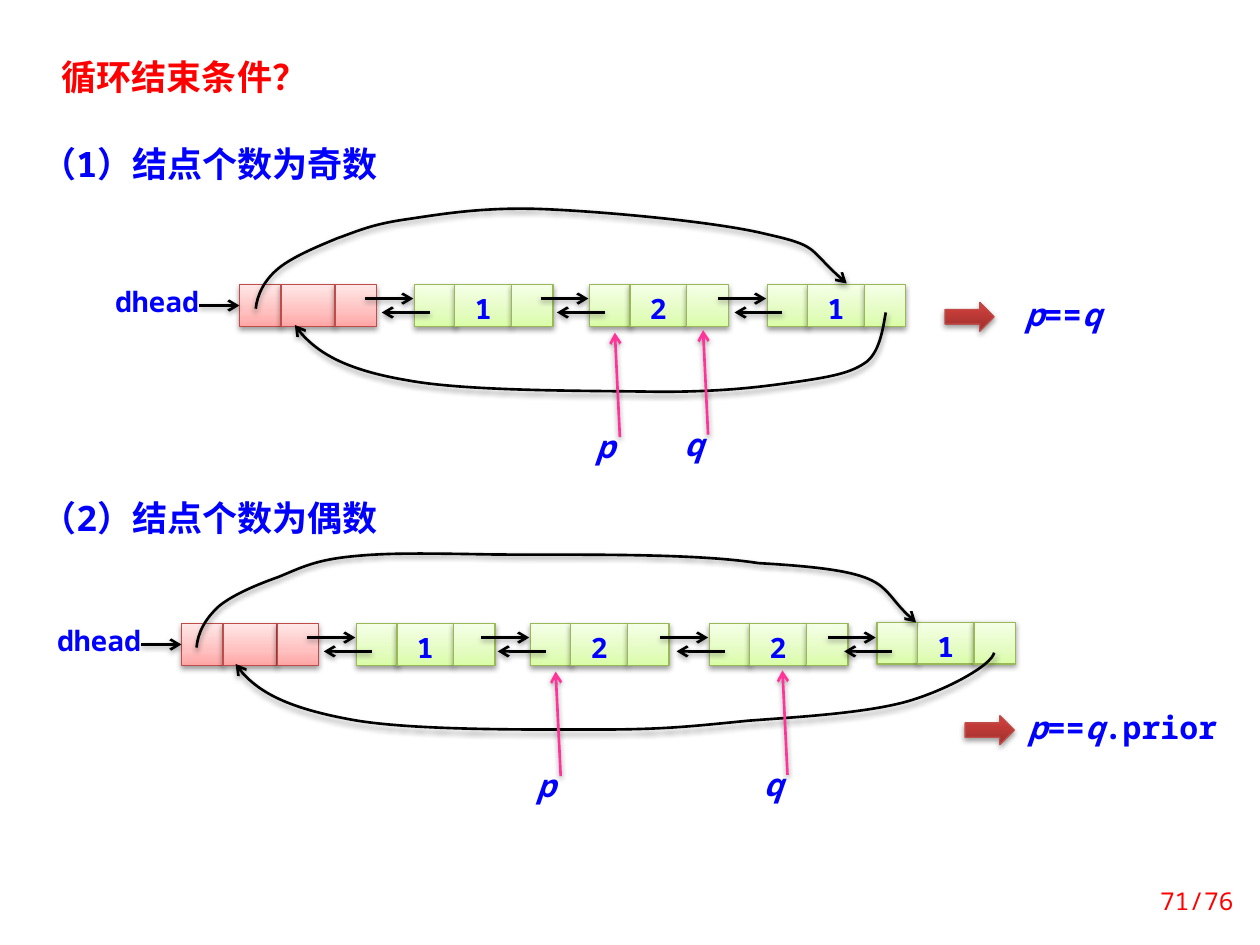
from dataclasses import dataclass
from typing import Optional

from lxml import etree
from pptx import Presentation
from pptx import util as u
from pptx.dml.color import RGBColor
from pptx.enum import shapes, text
from pptx.oxml.ns import qn

# Grid: 100 columns by 75 rows, each cell 0.1 inch square
CELL = u.Inches(0.1)
COLUMNS, ROWS = 100, 75
CELL_HEIGHT = 3.3
MONO, SANS = "Noto Sans Mono", "Noto Sans CJK SC"
COLORS = {
    "red": "FF0000", "blue": "0000FF", "black": "000000", "white": "FFFFFF",
    "pink": "FF3399", "red edge": "BF4C48", "green edge": "98B955",
}
GRADIENTS = {
    "head": ((0, "FFA6A5"), (35, "FFC0BF"), (100, "FFE7E7")),
    "node": ((0, "DAFDA7"), (35, "E4FCC2"), (100, "F5FFE7")),
    "arrow": ((0, "9C2F2D"), (80, "CB3E3A"), (100, "CE3B37")),
}
# Cells of a list node: (offset, width) of prior, data and next
HEAD_CELLS = ((0, 3.3), (3.3, 4.3), (7.6, 3.3))
NODE_CELLS = ((0, 3.3), (3.2, 4.5), (7.7, 3.3))


@dataclass
class Node:
    left: float
    value: str
    lift: float = 0


@dataclass
class Pointer:
    name: str
    left: float
    lift: float


@dataclass
class Case:
    heading: str
    heading_top: float
    top: float
    head_left: float
    nodes: list[Node]
    pointers: list[Pointer]
    curves: list[list[tuple[float, float]]]
    arrow_at: tuple[float, float]
    condition: list[tuple[str, bool]]
    condition_width: float


CASES = [
    Case("（1）结点个数为奇数", 10.8, 22.6, 19.0,
         [Node(32.9, "1"), Node(46.8, "2"), Node(60.9, "1")],
         [Pointer("p", 45.3, 0), Pointer("q", 52.3, 0.2)],
         [[(70.3, 24.8), (70.1, 25.8), (69.9, 27.8), (68.8, 28.7), (67.6, 29.6), (66, 29.9),
           (63.3, 30.3), (60.5, 30.7), (57.5, 31.1), (52.3, 31.1), (47.2, 31), (37.3, 31.1),
           (32.4, 30.2), (27.6, 29.4), (24.6, 27.7), (23.4, 25.8)],
          [(20.3, 24.5), (20.4, 23.4), (21, 22.2), (22.1, 21.3), (23.2, 20.4), (25.1, 19.6),
           (26.8, 18.9), (28.5, 18.3), (29.5, 17.8), (32.3, 17.4), (35, 17), (38.4, 16.4),
           (43.2, 16.6), (48, 16.8), (56.9, 17.6), (60.9, 18.6), (64.9, 19.5), (64, 19.7),
           (67.2, 22.5)]],
         (75, 24), [("p", True), ("==", False), ("q", True)], 10.9),
    Case("（2）结点个数为偶数", 38.9, 49.5, 14.4,
         [Node(28.3, "1"), Node(42.1, "2"), Node(56.3, "2"), Node(69.6, "1", 0.1)],
         [Pointer("p", 40.6, 0), Pointer("q", 58.6, 0.1)],
         [[(15.6, 51.4), (15.7, 50.2), (16.3, 49.1), (17.4, 48.1), (18.5, 47.2), (20.4, 46.4),
           (22.1, 45.8), (23.8, 45.1), (24.9, 44.5), (27.6, 44.2), (30.3, 43.9), (32.8, 43.9),
           (38.3, 44), (43.7, 44.1), (54.5, 43.8), (60.2, 44.7), (70.9, 45.3), (69.4, 46.6),
           (72.7, 49.4)],
          [(78.9, 51.8), (78.7, 52.8), (75.1, 54.8), (71.9, 55.7), (68.6, 56.6), (63.4, 56.9),
           (59.4, 57.2), (55.3, 57.6), (52.9, 57.9), (47.7, 57.9), (42.4, 57.9), (32.6, 58),
           (27.8, 57.1), (22.9, 56.2), (19.9, 54.6), (18.7, 52.7)]],
         (76.6, 56.8), [("p", True), ("==", False), ("q", True), (".prior", False)], 17.2),
]


def grid(*cells: float) -> list[u.Emu]:
    return [u.Emu(round(cell * CELL)) for cell in cells]


def color(name: str) -> RGBColor:
    return RGBColor.from_string(COLORS[name])


def add_run(paragraph, words: str, size: float, ink: str = "blue", font: str = MONO,
            bold: bool = True, italic: bool = False) -> None:
    run = paragraph.add_run()
    run.text = words
    run.font.size, run.font.bold, run.font.italic = u.Pt(size), bold, italic
    run.font.color.rgb = color(ink)
    run.font.name = font
    etree.SubElement(run._r.get_or_add_rPr(), qn("a:ea"), typeface=font)


def set_frame(shape, align=text.PP_ALIGN.LEFT, anchor=text.MSO_ANCHOR.TOP):
    """Prepare the shape's text frame and return its first paragraph."""
    frame = shape.text_frame
    frame.word_wrap, frame.vertical_anchor = True, anchor
    frame.paragraphs[0].alignment = align
    return frame.paragraphs[0]


def add_label(parent, left: float, top: float, width: float, height: float, **layout):
    return set_frame(parent.add_textbox(*grid(left, top, width, height)), **layout)


def cast_shadow(shape) -> None:
    effects = etree.SubElement(shape._element.spPr, qn("a:effectLst"))
    shadow = etree.SubElement(effects, qn("a:outerShdw"), blurRad="40000", dist="20000",
                              dir="5400000", rotWithShape="0")
    ink = etree.SubElement(shadow, qn("a:srgbClr"), val=COLORS["black"])
    etree.SubElement(ink, qn("a:alpha"), val="38000")


def add_block(parent, kind, box: tuple, gradient: str, edge: str):
    """Preset shape with a three-stop vertical gradient and a soft shadow."""
    shape = parent.add_shape(kind, *grid(*box))
    shape.fill.gradient()
    shape.fill.gradient_angle = 90
    stops = next(shape._element.iter(qn("a:gsLst")))
    for old in list(stops):
        stops.remove(old)
    for position, hexa in GRADIENTS[gradient]:
        stop = etree.SubElement(stops, qn("a:gs"), pos=str(position * 1000))
        etree.SubElement(stop, qn("a:srgbClr"), val=hexa)
    shape.line.color.rgb, shape.line.width = color(edge), u.Pt(0.75)
    cast_shadow(shape)
    return shape


def finish_arrow(shape, ink: str) -> None:
    shape.line.color.rgb, shape.line.width = color(ink), u.Pt(1.5)
    etree.SubElement(shape.line._get_or_add_ln(), qn("a:tailEnd"), type="arrow")
    cast_shadow(shape)


def add_arrow(parent, *ends: float, ink: str = "black"):
    arrow = parent.add_connector(shapes.MSO_CONNECTOR.STRAIGHT, *grid(*ends))
    finish_arrow(arrow, ink)
    return arrow


def add_curve(parent, points: list[tuple[float, float]]) -> None:
    """Open Bézier curve: a start point, then three points for each segment."""
    start, *others = [grid(*point) for point in points]
    builder = parent.build_freeform(*start)
    builder.add_line_segments(others, close=False)
    curve = builder.convert_to_shape()
    steps = list(curve._element.iter(qn("a:lnTo")))
    for first, second, third in zip(steps[::3], steps[1::3], steps[2::3]):
        first.tag = qn("a:cubicBezTo")
        for step in (second, third):
            first.append(step[0])
            step.getparent().remove(step)
    curve.fill.background()
    finish_arrow(curve, "black")


def add_node(parent, left: float, top: float, cells: tuple, kind: str, edge: str) -> list:
    return [add_block(parent, shapes.MSO_SHAPE.RECTANGLE,
                      (left + offset, top, width, CELL_HEIGHT), kind, edge)
            for offset, width in cells]


def draw_case(slide, case: Case) -> None:
    center = text.PP_ALIGN.CENTER
    add_run(add_label(slide.shapes, 2.3, case.heading_top, 28.9, 4.4), case.heading, 20)
    parent = slide.shapes.add_group_shape().shapes
    left, top = case.head_left, case.top

    # Head node with its name
    head = add_node(parent, left, top, HEAD_CELLS, "head", "red edge")
    name = parent.add_shape(shapes.MSO_SHAPE.RECTANGLE, *grid(left - 10.4, top, 8.5, CELL_HEIGHT))
    name.shadow.inherit = False
    name.fill.solid()
    name.fill.fore_color.rgb = color("white")
    name.line.fill.background()
    frame = name.text_frame
    frame.margin_left, frame.margin_top, frame.margin_bottom = u.Inches(0.02), 0, 0
    add_run(set_frame(name, center), "dhead", 16)
    middle = top + CELL_HEIGHT / 2
    add_arrow(parent, left - 3.2, middle, left, middle).end_connect(head[0], 1)

    # Data nodes, then the links between neighbours
    for node in case.nodes:
        data = add_node(parent, node.left, top - node.lift, NODE_CELLS, "node", "green edge")[1]
        data.text_frame.margin_top = data.text_frame.margin_bottom = 0
        paragraph = set_frame(data, center)
        paragraph.line_spacing = u.Pt(23)
        add_run(paragraph, node.value, 16)
    for node in case.nodes:
        add_arrow(parent, node.left - 3.9, top + 1.1, node.left - 0.1, top + 1.1)
        add_arrow(parent, node.left + 1.2, top + 2.2, node.left - 2.6, top + 2.2)
    for points in case.curves:
        add_curve(parent, points)

    # Pointers p and q
    for pointer in case.pointers:
        level = top - pointer.lift
        paragraph = add_label(parent, pointer.left, level + 11.4, 5.5, 3.5, align=center)
        paragraph.line_spacing = 0.8
        add_run(paragraph, pointer.name, 18, italic=True)
        add_arrow(parent, pointer.left + 3.9, level + 12.1, pointer.left + 3.5, level + 3.8,
                  ink="pink")

    # End condition
    x, y = case.arrow_at
    add_block(parent, shapes.MSO_SHAPE.RIGHT_ARROW, (x, y, 3.9, 2.3), "arrow", "red edge")
    paragraph = add_label(parent, x + 3.9, y - 1.1, case.condition_width, 4, align=center)
    for words, italic in case.condition:
        add_run(paragraph, words, 18, italic=italic)


def main() -> None:
    presentation = Presentation()
    presentation.slide_width, presentation.slide_height = grid(COLUMNS, ROWS)
    slide = presentation.slides.add_slide(presentation.slide_layouts[5])

    # Title
    title = slide.shapes.title
    title.left, title.top, title.width, title.height = grid(3.9, 3.9, 27.3, 4.4)
    add_run(set_frame(title), "循环结束条件？", 20, "red", SANS)

    for case in CASES:
        draw_case(slide, case)

    # Page number
    page = add_label(slide.shapes, 89.8, 69.5, 9.1, 4, align=text.PP_ALIGN.RIGHT,
                     anchor=text.MSO_ANCHOR.MIDDLE)
    add_run(page, "71/76", 14, "red", bold=False)
    presentation.save("out.pptx")


if __name__ == "__main__":
    main()
